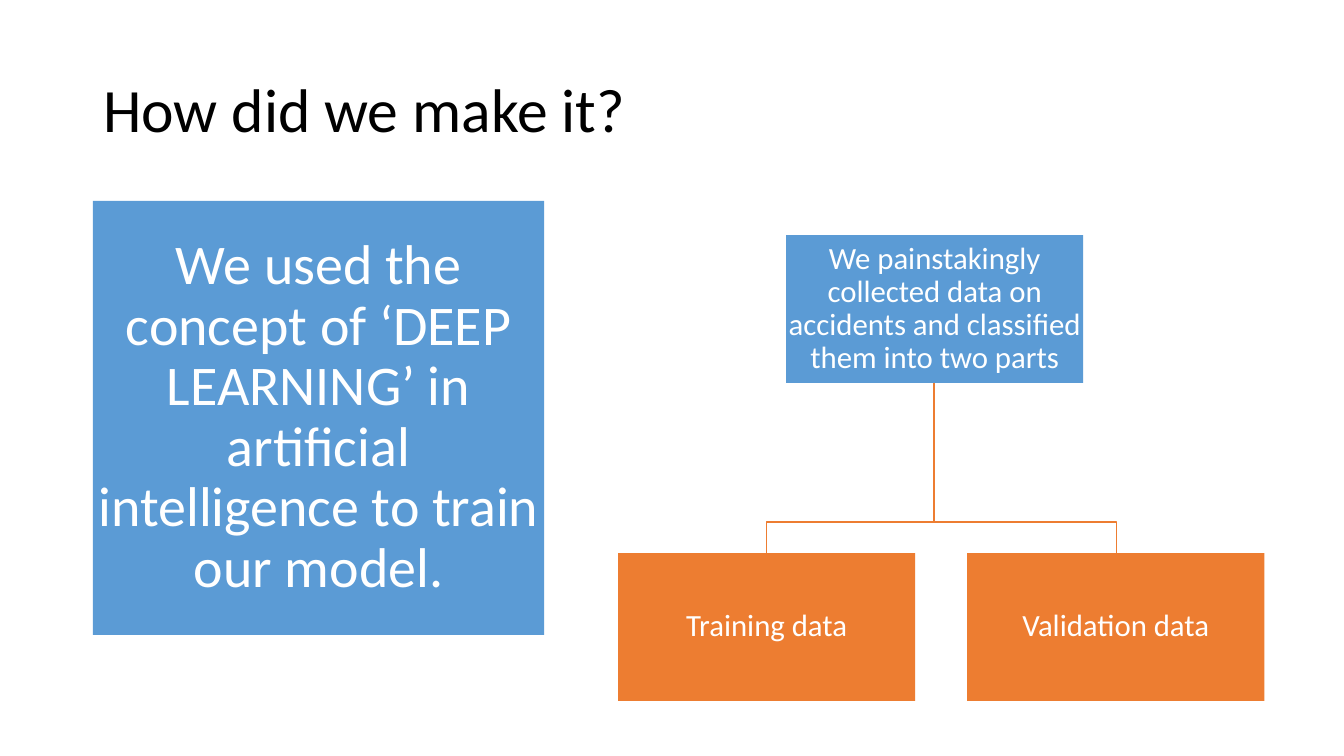
from dataclasses import dataclass
from pptx import Presentation
from pptx.dml.color import RGBColor
from pptx.enum.shapes import MSO_SHAPE
from pptx.enum.text import MSO_ANCHOR, MSO_AUTO_SIZE, PP_ALIGN
from pptx.util import Inches, Pt

TITLE = "How did we make it?"
CONCEPT = "We used the concept of ‘DEEP LEARNING’ in artificial intelligence to train our model."
ROOT = "We painstakingly collected data on accidents and classified them into two parts"
PARTS = ["Training data", "Validation data"]

# left, top, width, height in px
TITLE_BOX = (93, 40, 1159, 146)
CONCEPT_BOX = (93, 201, 451, 434)
NODE_W, NODE_H = 297, 148
ROOT_X, ROOT_Y = 786, 235
PART_X, PART_Y, PART_GAP = 618, 553, 52
BRANCH_Y = 522
EMU_PER_PX = Inches(1) / 100.8


@dataclass(frozen=True)
class Theme:
    font: str = "Calibri"
    black: str = "000000"
    white: str = "FFFFFF"
    blue: str = "5B9BD5"
    orange: str = "ED7D31"
    title: int = 44
    concept: int = 40
    node: int = 22


T = Theme()


def px(n):
    return round(n * EMU_PER_PX)


def write(shape, text, size, color, align, inset=None):
    tf = shape.text_frame
    frame = dict(text=text, word_wrap=True, auto_size=MSO_AUTO_SIZE.NONE,
                 vertical_anchor=MSO_ANCHOR.MIDDLE)
    if inset is not None:
        for side in ("left", "right", "top", "bottom"):
            frame[f"margin_{side}"] = px(inset)
    for name, value in frame.items():
        setattr(tf, name, value)
    p = tf.paragraphs[0]
    p.alignment, p.line_spacing = align, 0.9
    font = p.runs[0].font
    font.name, font.size = T.font, Pt(size)
    font.color.rgb = RGBColor.from_string(color)


def add_box(s, box, text, fill, size, inset):
    sp = s.shapes.add_shape(MSO_SHAPE.RECTANGLE, *map(px, box))
    sp.shadow.inherit = False
    sp.fill.solid()
    sp.fill.fore_color.rgb = RGBColor.from_string(fill)
    sp.line.color.rgb = RGBColor.from_string(fill)
    sp.line.fill.background()
    write(sp, text, size, T.white, PP_ALIGN.CENTER, inset)


def add_branch(s, start, end):
    """Draw a stepped line that turns at BRANCH_Y."""
    (x1, y1), (x2, y2) = start, end
    builder = s.shapes.build_freeform(x1, y1, scale=EMU_PER_PX)
    builder.add_line_segments([(x1, BRANCH_Y), (x2, BRANCH_Y), (x2, y2)], close=False)
    sp = builder.convert_to_shape()
    sp.shadow.inherit = False
    sp.fill.background()
    sp.line.color.rgb = RGBColor.from_string(T.orange)
    sp.line.width = Pt(1)


def main():
    prs = Presentation()
    prs.slide_width, prs.slide_height = Inches(13.33), Inches(7.5)
    s = prs.slides.add_slide(prs.slide_layouts[5])

    title = s.shapes.title
    title.left, title.top, title.width, title.height = map(px, TITLE_BOX)
    write(title, TITLE, T.title, T.black, PP_ALIGN.LEFT)

    add_box(s, CONCEPT_BOX, CONCEPT, T.blue, T.concept, 3)
    add_box(s, (ROOT_X, ROOT_Y, NODE_W, NODE_H), ROOT, T.blue, T.node, 2)
    root_end = (ROOT_X + NODE_W / 2, ROOT_Y + NODE_H)
    for i, part in enumerate(PARTS):
        x = PART_X + i * (NODE_W + PART_GAP)
        add_branch(s, root_end, (x + NODE_W / 2, PART_Y))
        add_box(s, (x, PART_Y, NODE_W, NODE_H), part, T.orange, T.node, 2)

    prs.save("out.pptx")


if __name__ == "__main__":
    main()
